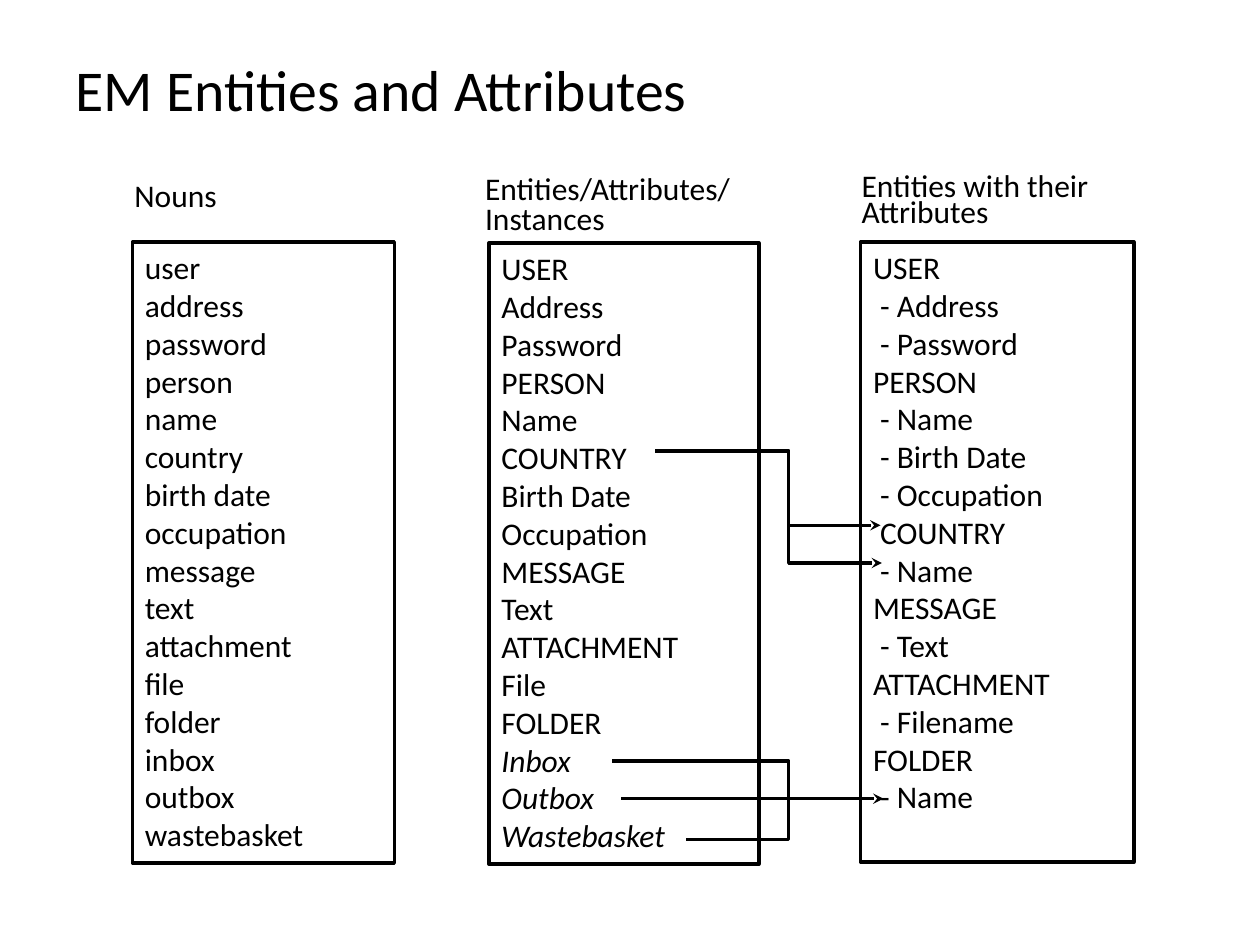
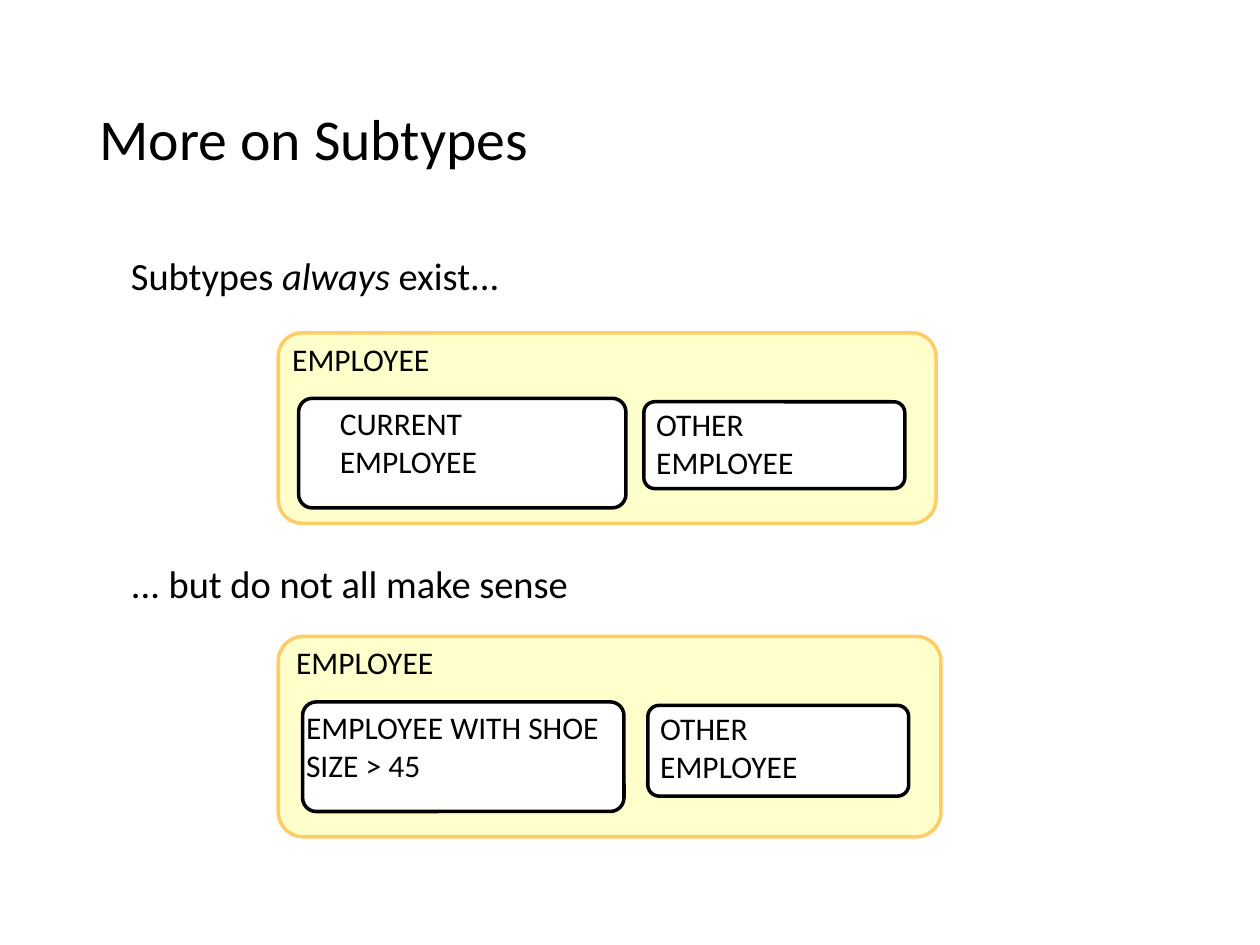
"""Build two slides on entities, attributes and subtypes."""
from lxml import etree
from pptx import Presentation
from pptx.dml.color import RGBColor
from pptx.enum.shapes import MSO_CONNECTOR, MSO_SHAPE
from pptx.enum.text import MSO_ANCHOR, MSO_AUTO_SIZE, PP_ALIGN
from pptx.oxml.ns import qn
from pptx.util import Cm, Pt

INK = {"text": "000000", "white": "FFFFFF", "cream": "FFFFCC", "gold": "FFCC66"}
FONT = "Calibri"


def write(frame, lines, size=18, gap=1.0, anchor=MSO_ANCHOR.TOP):
    frame.word_wrap = True
    frame.auto_size = MSO_AUTO_SIZE.NONE
    frame.vertical_anchor = anchor
    for num, line in enumerate(lines):
        par = frame.add_paragraph() if num else frame.paragraphs[0]
        par.alignment = PP_ALIGN.LEFT
        par.line_spacing = gap
        for text, slant in line:
            run = par.add_run()
            run.text = text
            run.font.name = FONT
            run.font.size = Pt(size)
            run.font.italic = slant
            run.font.color.rgb = RGBColor.from_string(INK["text"])


def draw(shape, line="text", fill=None, arrow=False):
    shape.line.color.rgb = RGBColor.from_string(INK[line])
    shape.line.width = Pt(2)
    props = shape.element.spPr
    if arrow:
        etree.SubElement(props.find(qn("a:ln")), qn("a:tailEnd"), type="stealth")
    if not hasattr(shape, "fill"):
        etree.SubElement(props, qn("a:effectLst"))
        return
    shape.shadow.inherit = False
    if fill:
        shape.fill.solid()
        shape.fill.fore_color.rgb = RGBColor.from_string(INK[fill])
    else:
        shape.fill.background()


deck = Presentation()
deck.slide_width, deck.slide_height = Cm(25.4), Cm(19.05)
heads = [
    ("EM Entities and Attributes", (1.27, 0.76, 20.75, 2.21)),
    ("More on Subtypes", (1.75, 1.02, 21.89, 3.68)),
]
pages = []
for text, spot in heads:
    page = deck.slides.add_slide(deck.slide_layouts[5])
    title = page.shapes.title
    title.left, title.top, title.width, title.height = map(Cm, spot)
    write(title.text_frame, [[(text, False)]], 33, 0.9, MSO_ANCHOR.MIDDLE)
    pages.append(page.shapes)
lists, types = pages

nouns = ["user", "address", "password", "person", "name", "country",
         "birth date", "occupation", "message", "text", "attachment",
         "file", "folder", "inbox", "outbox", "wastebasket"]
kinds = ["USER", "Address", "Password", "PERSON", "Name", "COUNTRY",
         "Birth Date", "Occupation", "MESSAGE", "Text", "ATTACHMENT",
         "File", "FOLDER", "Inbox", "Outbox", "Wastebasket"]
owners = ["USER", " - Address", " - Password", "PERSON", " - Name",
          " - Birth Date", " - Occupation", " COUNTRY", " - Name",
          "MESSAGE", " - Text", "ATTACHMENT", " - Filename", "FOLDER",
          " - Name"]
slanted = kinds[-3:]
columns = [
    (["Nouns"], (2.46, 4.6, 1.02), 1.0, nouns, (2.67, 4.88, 5.28, 12.52)),
    (["Entities/Attributes/", "Instances"], (9.53, 6.76, 1.47), 0.8,
     kinds, (9.86, 4.9, 5.44, 12.52)),
    (["Entities with their Attributes"], (17.12, 5.84, 1.32), 0.7,
     owners, (17.35, 4.88, 5.51, 12.5)),
]
for head, (left, width, height), gap, words, spot in columns:
    box = lists.add_shape(MSO_SHAPE.RECTANGLE, *map(Cm, spot))
    draw(box)
    write(box.text_frame, [[(word, word in slanted)] for word in words])
    label = lists.add_textbox(Cm(left), Cm(3.43), Cm(width), Cm(height))
    write(label.text_frame, [[(text, False)] for text in head], gap=gap)

bends = [
    ([(13.21, 9.09), (15.9, 9.09), (15.9, 11.35), (17.78, 11.35)], True),
    ([(12.34, 15.34), (15.9, 15.34), (15.9, 16.92), (13.82, 16.92)], False),
]
for points, arrow in bends:
    first, *rest = [(Cm(x), Cm(y)) for x, y in points]
    pen = lists.build_freeform(*first)
    pen.add_line_segments(rest, close=False)
    draw(pen.convert_to_shape(), arrow=arrow)
for start, end, y in [(15.93, 17.75, 10.59), (12.52, 17.81, 16.1)]:
    link = lists.add_connector(
        MSO_CONNECTOR.STRAIGHT, Cm(start), Cm(y), Cm(end), Cm(y))
    draw(link, arrow=True)

notes = [
    (5.03, [("Subtypes ", False), ("always", True), (" exist...", False)]),
    (11.23, [("... but do not all make sense", False)]),
]
for top, line in notes:
    note = types.add_textbox(Cm(2.39), Cm(top), Cm(20.52), Cm(1.14))
    write(note.text_frame, [line], 22, 0.95)

frames = [
    ("gold", "cream", (5.61, 6.71, 13.26, 3.84)),
    ("text", "white", (6.02, 8.03, 6.6, 2.21)),
    ("text", "white", (12.98, 8.1, 5.26, 1.75)),
    ("gold", "cream", (5.61, 12.83, 13.36, 4.04)),
    ("text", "white", (6.1, 14.15, 6.48, 2.21)),
    ("text", "white", (13.06, 14.22, 5.26, 1.83)),
]
for line, fill, spot in frames:
    box = types.add_shape(MSO_SHAPE.ROUNDED_RECTANGLE, *map(Cm, spot))
    box.adjustments[0] = 0.125
    draw(box, line, fill)

labels = [
    (["EMPLOYEE"], (5.64, 6.73, 9.6, 1.02)),
    (["CURRENT", "EMPLOYEE"], (6.6, 8.03, 5.36, 1.78)),
    (["OTHER", "EMPLOYEE"], (12.98, 8.05, 6.17, 1.78)),
    (["EMPLOYEE"], (5.72, 12.83, 9.6, 1.02)),
    (["EMPLOYEE WITH SHOE SIZE > 45"], (5.92, 14.15, 6.65, 1.78)),
    (["OTHER", "EMPLOYEE"], (13.06, 14.17, 6.17, 1.78)),
]
for words, spot in labels:
    label = types.add_textbox(*map(Cm, spot))
    write(label.text_frame, [[(word, False)] for word in words])

deck.save("out.pptx")
